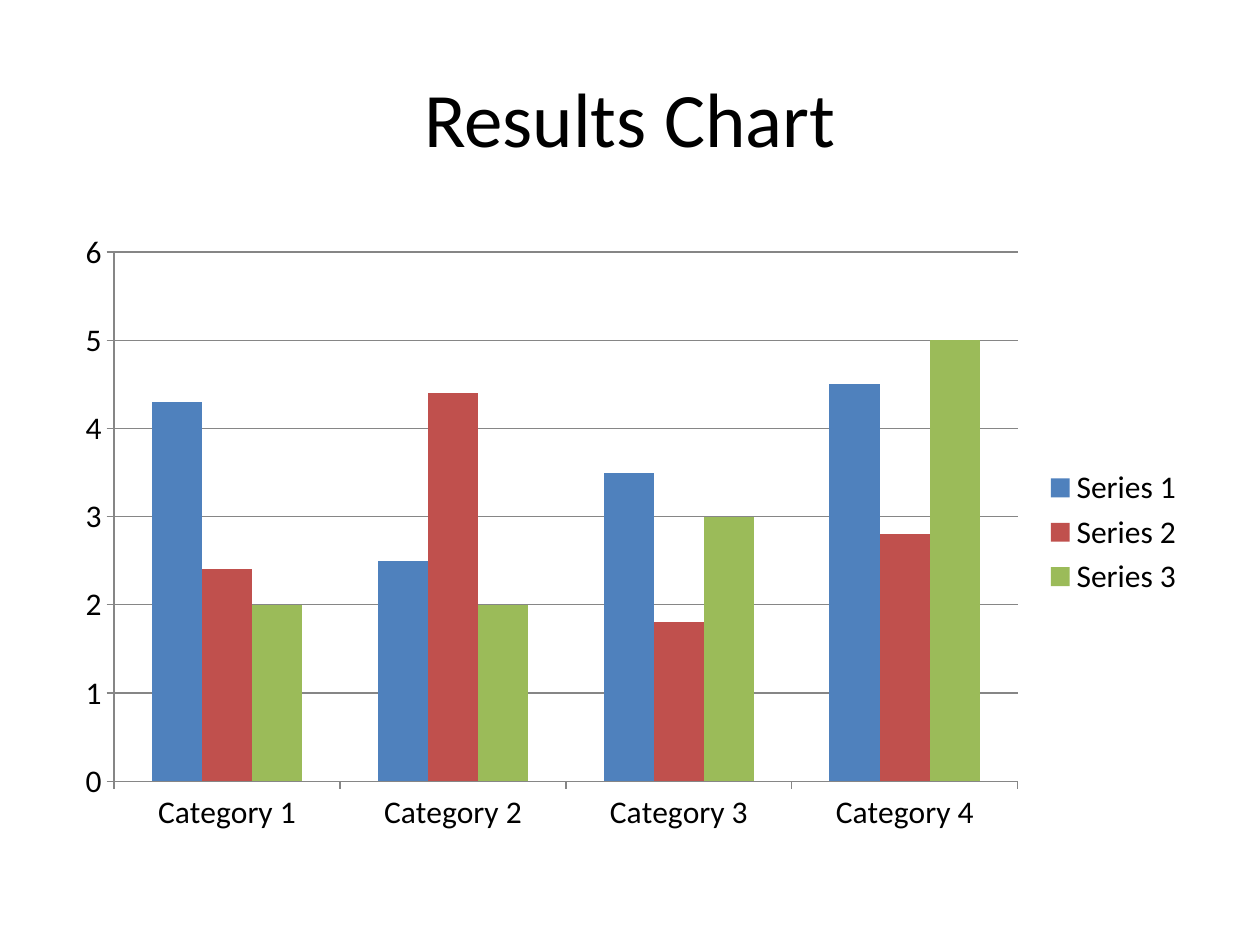
from dataclasses import dataclass

from pptx import Presentation
from pptx.chart.data import CategoryChartData
from pptx.dml.color import RGBColor
from pptx.enum.chart import XL_CHART_TYPE, XL_LEGEND_POSITION, XL_TICK_MARK
from pptx.enum.text import MSO_ANCHOR, PP_ALIGN
from pptx.util import Inches, Pt


@dataclass(frozen=True)
class Theme:
    font: str = "Calibri"
    text: RGBColor = RGBColor.from_string("000000")
    rule: RGBColor = RGBColor.from_string("868686")
    title_size: int = 44
    chart_size: int = 18
    series: tuple = ("4F81BD", "C0504D", "9BBB59")


theme = Theme()


def add_text(page, text, left, top, width, height, size, color, align):
    box = page.shapes.add_textbox(Inches(left), Inches(top), Inches(width), Inches(height))
    box.text_frame.word_wrap = True
    box.text_frame.vertical_anchor = MSO_ANCHOR.MIDDLE
    para = box.text_frame.paragraphs[0]
    para.alignment = align
    span = para.add_run()
    span.text = text
    span.font.name = theme.font
    span.font.size = Pt(size)
    span.font.color.rgb = color


deck = Presentation()
deck.slide_width = Inches(10)
deck.slide_height = Inches(7.5)
page = deck.slides.add_slide(deck.slide_layouts[6])

add_text(page, "Results Chart", left=0.5, top=0.3, width=9, height=1.25,
         size=theme.title_size, color=theme.text, align=PP_ALIGN.CENTER)

results = CategoryChartData()
results.categories = [f"Category {number}" for number in range(1, 5)]
results.add_series("Series 1", (4.3, 2.5, 3.5, 4.5))
results.add_series("Series 2", (2.4, 4.4, 1.8, 2.8))
results.add_series("Series 3", (2, 2, 3, 5))

chart = page.shapes.add_chart(
    XL_CHART_TYPE.COLUMN_CLUSTERED,
    Inches(0.5), Inches(1.75), Inches(9), Inches(4.95), results,
).chart
chart.has_title = False
chart.font.name = theme.font
chart.font.size = Pt(theme.chart_size)
chart.font.color.rgb = theme.text

chart.has_legend = True
chart.legend.position = XL_LEGEND_POSITION.RIGHT
chart.legend.include_in_layout = False

value_axis = chart.value_axis
value_axis.minimum_scale = 0
value_axis.maximum_scale = 6
value_axis.major_unit = 1
value_axis.has_major_gridlines = True
value_axis.major_gridlines.format.line.color.rgb = theme.rule
value_axis.major_gridlines.format.line.width = Pt(0.75)

for axis in (chart.category_axis, value_axis):
    axis.major_tick_mark = XL_TICK_MARK.OUTSIDE
    axis.minor_tick_mark = XL_TICK_MARK.NONE
    axis.format.line.color.rgb = theme.rule
    axis.format.line.width = Pt(0.75)

plot = chart.plots[0]
plot.vary_by_categories = False
plot.gap_width = 150
plot.overlap = 0
for series, color in zip(plot.series, theme.series):
    series.format.fill.solid()
    series.format.fill.fore_color.rgb = RGBColor.from_string(color)

deck.save("out.pptx")
